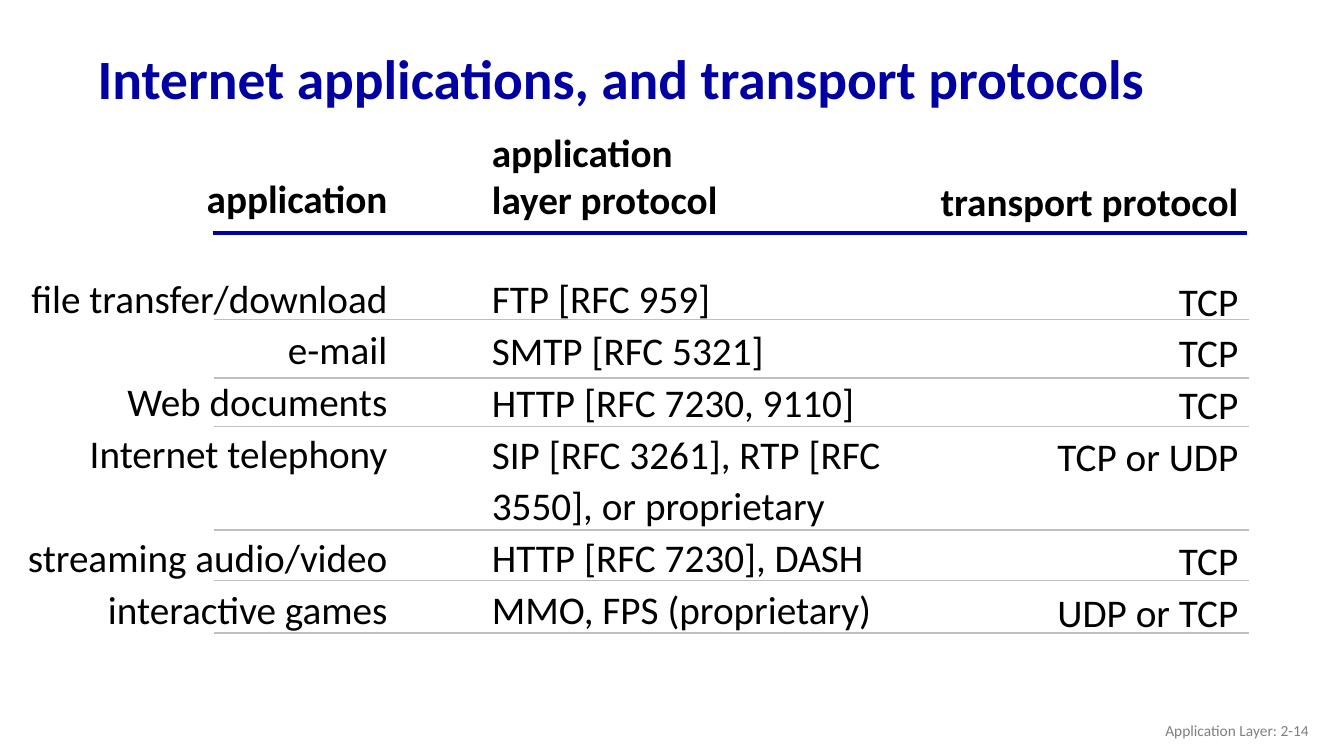
from dataclasses import dataclass

from lxml.etree import SubElement
from pptx import Presentation
from pptx.dml.color import RGBColor
from pptx.enum.shapes import MSO_CONNECTOR as Connector
from pptx.enum.text import MSO_ANCHOR as Anchor, PP_ALIGN as Align
from pptx.oxml.ns import qn
from pptx.util import Inches, Pt

SLIDE_WIDTH = Inches(13.33)
SLIDE_HEIGHT = Inches(7.5)
COLORS = {
    "title": "0000A3",
    "header_rule": "0000A8",
    "row_rule": "BFBFBF",
    "text": "000000",
    "footer": "808080",
}
HEADER_GAP = 34.2
SKIPPED_ROW = 37.6


@dataclass(frozen=True)
class Line:
    text: str
    bold: bool = False
    size: float = 28
    color: str = "text"
    spacing: float = 1.0
    before: float = 0


@dataclass(frozen=True)
class TextBlock:
    left: float
    top: float
    width: float
    height: float
    lines: list[Line]
    align: Align = Align.LEFT
    anchor: Anchor = Anchor.TOP


@dataclass(frozen=True)
class Rule:
    row: float
    color: str = "row_rule"
    weight: float = 1.25
    left: float = 15.92
    right: float = 92.9


def across(percent: float) -> int:
    return round(SLIDE_WIDTH * percent / 100)


def down(percent: float) -> int:
    return round(SLIDE_HEIGHT * percent / 100)


def column_lines(headers: list[str], entries: list[str], after_gap: int = -1) -> list[Line]:
    gaps = {0: HEADER_GAP, after_gap: SKIPPED_ROW}
    return [Line(header, bold=True) for header in headers] + [
        Line(entry, spacing=1.1, before=gaps.get(index, 0))
        for index, entry in enumerate(entries)
    ]


def draw_text(slide, block: TextBlock) -> None:
    shape = slide.shapes.add_textbox(
        across(block.left), down(block.top), across(block.width), down(block.height)
    )
    frame = shape.text_frame
    frame.word_wrap = True
    frame.vertical_anchor = block.anchor
    if block.align == Align.RIGHT:
        frame.margin_left = 0
    for index, line in enumerate(block.lines):
        paragraph = frame.add_paragraph() if index else frame.paragraphs[0]
        run = paragraph.add_run()
        run.text = line.text
        paragraph_format = {
            "alignment": block.align,
            "line_spacing": line.spacing,
            "space_before": Pt(line.before),
        }
        font_format = {"name": "Calibri", "size": Pt(line.size), "bold": line.bold}
        for target, values in ((paragraph, paragraph_format), (run.font, font_format)):
            for name, value in values.items():
                setattr(target, name, value)
        run.font.color.rgb = RGBColor.from_string(COLORS[line.color])


def draw_rule(slide, rule: Rule) -> None:
    connector = slide.shapes.add_connector(
        Connector.STRAIGHT,
        across(rule.left), down(rule.row), across(rule.right), down(rule.row),
    )
    connector.line.color.rgb = RGBColor.from_string(COLORS[rule.color])
    connector.line.width = Pt(rule.weight)
    SubElement(connector._element.spPr, qn("a:effectLst"))


TITLE = TextBlock(
    6.53, 4.27, 86.27, 13.07,
    [Line("Internet applications, and transport protocols", True, 39.6, "title", 0.9)],
    anchor=Anchor.MIDDLE,
)
FOOTER = TextBlock(
    75.62, 94, 22.51, 5.33,
    [Line("Application Layer: 2-14", size=11, color="footer")],
    Align.RIGHT, Anchor.MIDDLE,
)
APPLICATIONS = TextBlock(
    0.98, 22.4, 28.58, 62,
    column_lines(
        ["application"],
        ["file transfer/download", "e-mail", "Web documents", "Internet telephony",
         "streaming audio/video", "interactive games"],
        after_gap=4,
    ),
    Align.RIGHT,
)
APPLICATION_PROTOCOLS = TextBlock(
    35.86, 16.27, 33.01, 75.2,
    column_lines(
        ["application", "layer protocol"],
        ["FTP [RFC 959]", "SMTP [RFC 5321]", "HTTP [RFC 7230, 9110]",
         "SIP [RFC 3261], RTP [RFC 3550], or proprietary",
         "HTTP [RFC 7230], DASH", "MMO, FPS (proprietary)"],
    ),
)
TRANSPORT_PROTOCOLS = TextBlock(
    68.94, 22.8, 23.93, 62,
    column_lines(
        ["transport protocol"],
        ["TCP", "TCP", "TCP", "TCP or UDP", "TCP", "UDP or TCP"],
        after_gap=4,
    ),
    Align.RIGHT,
)
RULES = [Rule(30.8, "header_rule", 2.5, 15.83, 92.8)] + [
    Rule(row) for row in (42.27, 50, 56.4, 70.13, 76.8, 83.73)
]


def main() -> None:
    presentation = Presentation()
    presentation.slide_width = SLIDE_WIDTH
    presentation.slide_height = SLIDE_HEIGHT
    slide = presentation.slides.add_slide(presentation.slide_layouts[6])
    draw_text(slide, TITLE)
    draw_text(slide, APPLICATIONS)
    for rule in RULES:
        draw_rule(slide, rule)
    for block in (APPLICATION_PROTOCOLS, TRANSPORT_PROTOCOLS, FOOTER):
        draw_text(slide, block)
    presentation.save("out.pptx")


if __name__ == "__main__":
    main()
